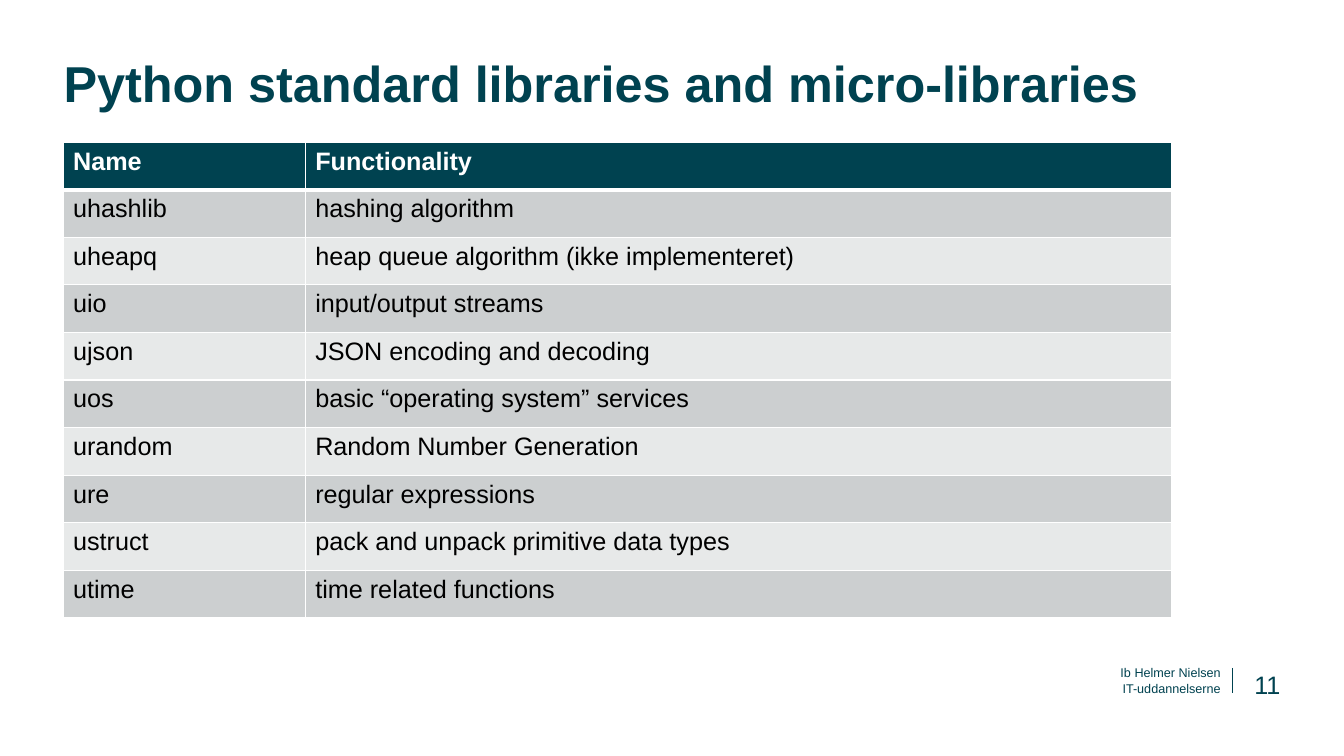
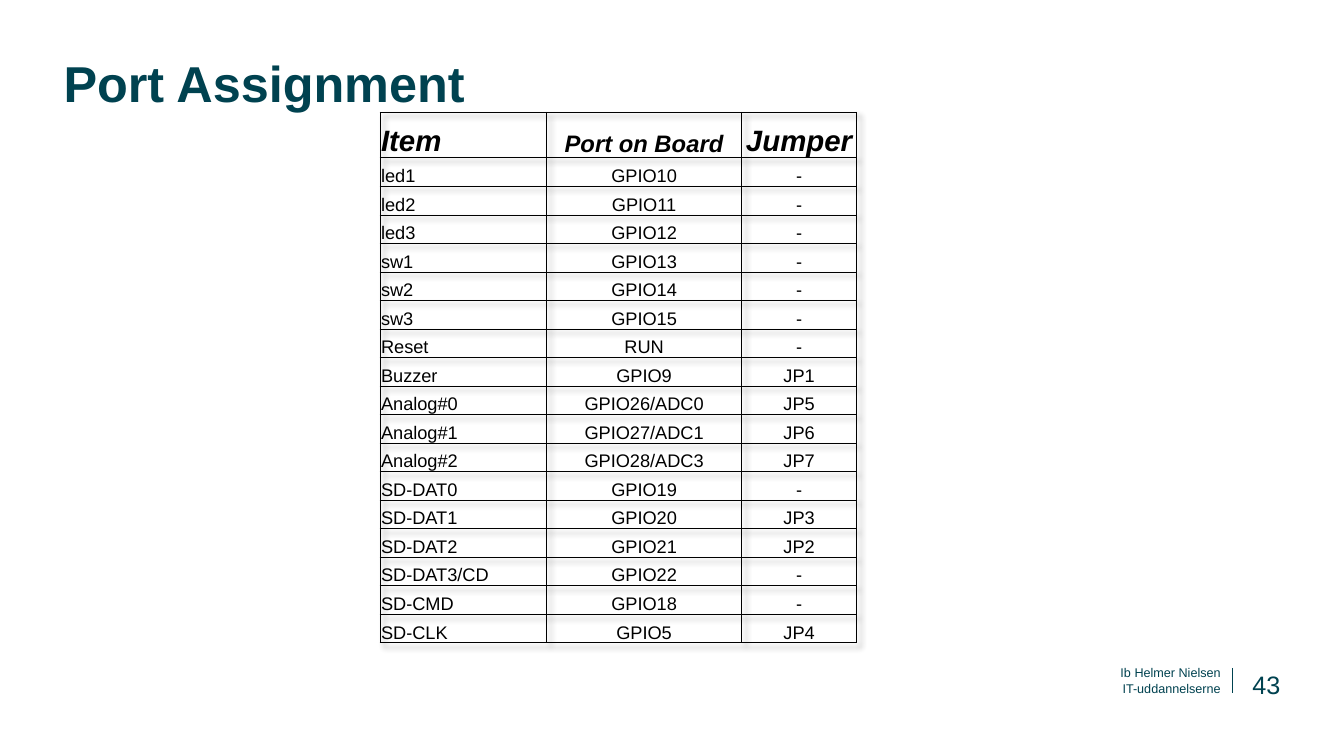
"""Build two table slides that share a title style and a footer."""
from dataclasses import dataclass
from typing import Optional

from lxml import etree
from pptx import Presentation
from pptx.dml.color import RGBColor
from pptx.enum import shapes, text
from pptx.oxml import ns
from pptx.slide import Slide
from pptx.table import _Cell as Cell
from pptx.util import Pt

TEAL = RGBColor(0x00, 0x42, 0x50)
WHITE = RGBColor(0xFF, 0xFF, 0xFF)
BLACK = RGBColor(0x00, 0x00, 0x00)
DARK = RGBColor(0xCC, 0xCF, 0xD0)
LIGHT = RGBColor(0xE7, 0xE9, 0xE9)
FONT = "Arial"
LEFT, MID, RIGHT = text.PP_ALIGN.LEFT, text.PP_ALIGN.CENTER, text.PP_ALIGN.RIGHT
TOP, BASE = text.MSO_ANCHOR.TOP, text.MSO_ANCHOR.BOTTOM


@dataclass(frozen=True)
class Box:
    """Place and size in points."""
    x: float
    y: float
    w: float
    h: float


@dataclass(frozen=True)
class Style:
    """Look of a table; lengths are in points."""
    head: float
    row: float
    sizes: tuple[float, ...]
    size: float
    ink: RGBColor
    line: RGBColor
    rim: float
    rule: float
    inner: float
    aligns: tuple
    anchor: text.MSO_ANCHOR
    pads: tuple[float, float, float, float]
    fill: Optional[RGBColor] = None
    bands: tuple[RGBColor, ...] = ()
    italic: bool = False
    shade: bool = False


@dataclass(frozen=True)
class Page:
    """Content of one slide."""
    title: str
    number: int
    x: float
    y: float
    cols: tuple[float, ...]
    rows: list[tuple[str, ...]]
    style: Style


LIBS = Style(head=34, row=34, sizes=(18, 18), size=18, ink=WHITE, line=WHITE,
             rim=1, rule=3, inner=1, aligns=(LEFT, LEFT), anchor=TOP,
             pads=(7.2, 3.6, 7.2, 3.6), fill=TEAL, bands=(DARK, LIGHT))
PORTS = Style(head=32.4, row=20.4, sizes=(21, 17, 21), size=13, ink=BLACK,
              line=BLACK, rim=1, rule=1, inner=0.5, aligns=(LEFT, MID, MID),
              anchor=BASE, pads=(0.7, 0.7, 0.7, 0), italic=True, shade=True)

PAGES = [
    Page("Python standard libraries and micro-libraries", 11, 45, 101.5,
         (173, 619), [
             ("Name", "Functionality"),
             ("uhashlib", "hashing algorithm"),
             ("uheapq", "heap queue algorithm (ikke implementeret)"),
             ("uio", "input/output streams"),
             ("ujson", "JSON encoding and decoding"),
             ("uos", "basic “operating system” services"),
             ("urandom", "Random Number Generation"),
             ("ure", "regular expressions"),
             ("ustruct", "pack and unpack primitive data types"),
             ("utime", "time related functions"),
         ], LIBS),
    Page("Port Assignment", 43, 271.5, 80.3, (118.8, 139.5, 82), [
        ("Item", "Port on Board", "Jumper"),
        ("led1", "GPIO10", "-"),
        ("led2", "GPIO11", "-"),
        ("led3", "GPIO12", "-"),
        ("sw1", "GPIO13", "-"),
        ("sw2", "GPIO14", "-"),
        ("sw3", "GPIO15", "-"),
        ("Reset", "RUN", "-"),
        ("Buzzer", "GPIO9", "JP1"),
        ("Analog#0", "GPIO26/ADC0", "JP5"),
        ("Analog#1", "GPIO27/ADC1", "JP6"),
        ("Analog#2", "GPIO28/ADC3", "JP7"),
        ("SD-DAT0", "GPIO19", "-"),
        ("SD-DAT1", "GPIO20", "JP3"),
        ("SD-DAT2", "GPIO21", "JP2"),
        ("SD-DAT3/CD", "GPIO22", "-"),
        ("SD-CMD", "GPIO18", "-"),
        ("SD-CLK", "GPIO5", "JP4"),
    ], PORTS),
]


def write(frame, words: str, size: float, ink: RGBColor, align,
          bold: bool = False, italic: bool = False) -> None:
    """Set the text of a frame and format its one run."""
    frame.text = words
    para = frame.paragraphs[0]
    para.alignment = align
    font = para.runs[0].font
    font.name, font.size, font.color.rgb = FONT, Pt(size), ink
    font.bold, font.italic = bold, italic


def place(shape, box: Box, anchor) -> None:
    """Set a shape's place, margins and anchor."""
    shape.left, shape.top = Pt(box.x), Pt(box.y)
    shape.width, shape.height = Pt(box.w), Pt(box.h)
    frame = shape.text_frame
    frame.margin_left = frame.margin_right = 0
    frame.margin_top = frame.margin_bottom = 0
    frame.word_wrap = True
    frame.auto_size = text.MSO_AUTO_SIZE.NONE
    frame.vertical_anchor = anchor


def add_title(slide: Slide, words: str) -> None:
    """Fill and format the title placeholder."""
    title = slide.shapes.title
    place(title, Box(45.4, 42.5, 870, 72), TOP)
    write(title.text_frame, words, 36, TEAL, LEFT, bold=True)
    title.text_frame.paragraphs[0].line_spacing = 0.88


def add_foot(slide: Slide, number: int) -> None:
    """Draw the author lines, the divider and the slide number."""
    parts = [
        ("Ib Helmer Nielsen", 9, Box(569.5, 474.5, 302.4, 11.5)),
        ("IT-uddannelserne", 9, Box(569.5, 486, 302.4, 11.5)),
        (str(number), 18, Box(880.6, 458.6, 34, 41)),
    ]
    for words, size, box in parts:
        label = slide.shapes.add_textbox(0, 0, 0, 0)
        place(label, box, BASE)
        write(label.text_frame, words, size, TEAL, RIGHT)
    bar = slide.shapes.add_connector(shapes.MSO_CONNECTOR.STRAIGHT,
                                     Pt(880), Pt(477), Pt(880), Pt(495))
    bar.line.color.rgb, bar.line.width = TEAL, Pt(0.5)
    etree.SubElement(bar.element.spPr, ns.qn("a:effectLst"))


def edge(cell: Cell, side: str, width: float, ink: RGBColor) -> None:
    """Add one border to a cell."""
    line = etree.SubElement(cell._tc.get_or_add_tcPr(), ns.qn(f"a:ln{side}"),
                            w=str(Pt(width)))
    fill = etree.SubElement(line, ns.qn("a:solidFill"))
    etree.SubElement(fill, ns.qn("a:srgbClr"), val=str(ink))


def add_shade(table) -> None:
    """Give a table a soft shadow."""
    props = table._tbl.tblPr
    effects = etree.Element(ns.qn("a:effectLst"))
    props.insert(0, effects)
    shadow = etree.SubElement(effects, ns.qn("a:outerShdw"), dir="2700000",
                              blurRad=str(Pt(4)), dist=str(Pt(4)),
                              algn="tl", rotWithShape="0")
    tint = etree.SubElement(shadow, ns.qn("a:srgbClr"), val=str(BLACK))
    etree.SubElement(tint, ns.qn("a:alpha"), val="40000")


def add_grid(slide: Slide, page: Page) -> None:
    """Draw the page's table."""
    style, rows, cols = page.style, page.rows, page.cols
    high = style.head + style.row * (len(rows) - 1)
    table = slide.shapes.add_table(len(rows), len(cols), Pt(page.x), Pt(page.y),
                                   Pt(sum(cols)), Pt(high)).table
    table.horz_banding = False
    if style.shade:
        add_shade(table)
    for col, width in zip(table.columns, cols):
        col.width = Pt(width)

    def level(i: int) -> float:
        """Return the width of the line above row i."""
        if i in (0, len(rows)):
            return style.rim
        return style.rule if i == 1 else style.inner

    def upright(j: int) -> float:
        """Return the width of the line left of column j."""
        return style.rim if j in (0, len(cols)) else style.inner

    for i, row in enumerate(rows):
        table.rows[i].height = Pt(style.row if i else style.head)
        for j, words in enumerate(row):
            cell = table.cell(i, j)
            (cell.margin_left, cell.margin_top,
             cell.margin_right, cell.margin_bottom) = map(Pt, style.pads)
            cell.vertical_anchor = style.anchor
            sides = zip("LRTB", (upright(j), upright(j + 1),
                                 level(i), level(i + 1)))
            for side, width in sides:
                edge(cell, side, width, style.line)
            fill = style.fill
            if i and style.bands:
                fill = style.bands[(i - 1) % len(style.bands)]
            if fill is None:
                cell.fill.background()
            else:
                cell.fill.solid()
                cell.fill.fore_color.rgb = fill
            head = i == 0
            write(cell.text_frame, words, style.sizes[j] if head else style.size,
                  style.ink if head else BLACK, style.aligns[j],
                  head, head and style.italic)


def main() -> None:
    """Build and save the slides."""
    deck = Presentation()
    deck.slide_width, deck.slide_height = Pt(960), Pt(540)
    for page in PAGES:
        slide = deck.slides.add_slide(deck.slide_layouts[5])
        add_title(slide, page.title)
        add_grid(slide, page)
        add_foot(slide, page.number)
    deck.save("out.pptx")


if __name__ == "__main__":
    main()
